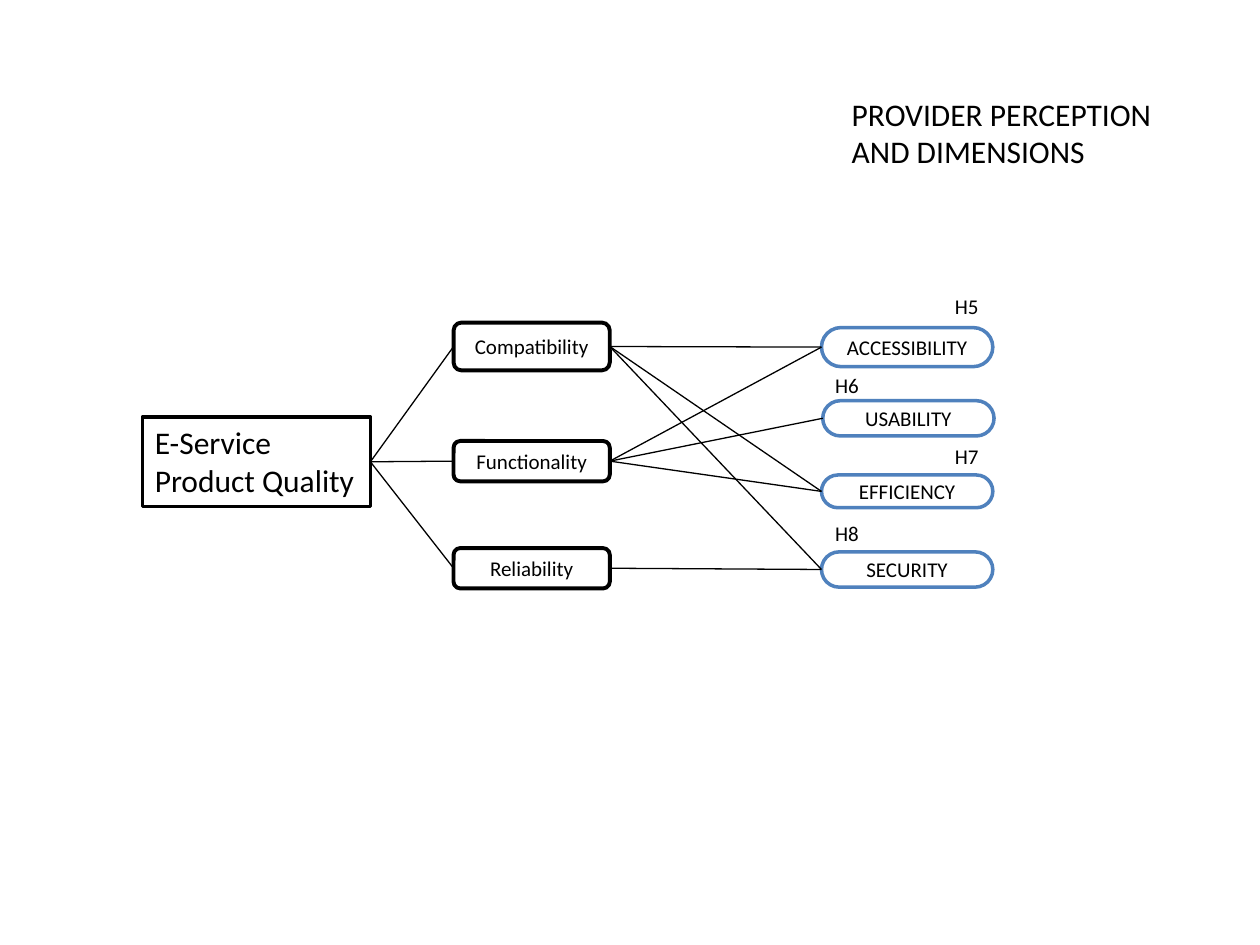
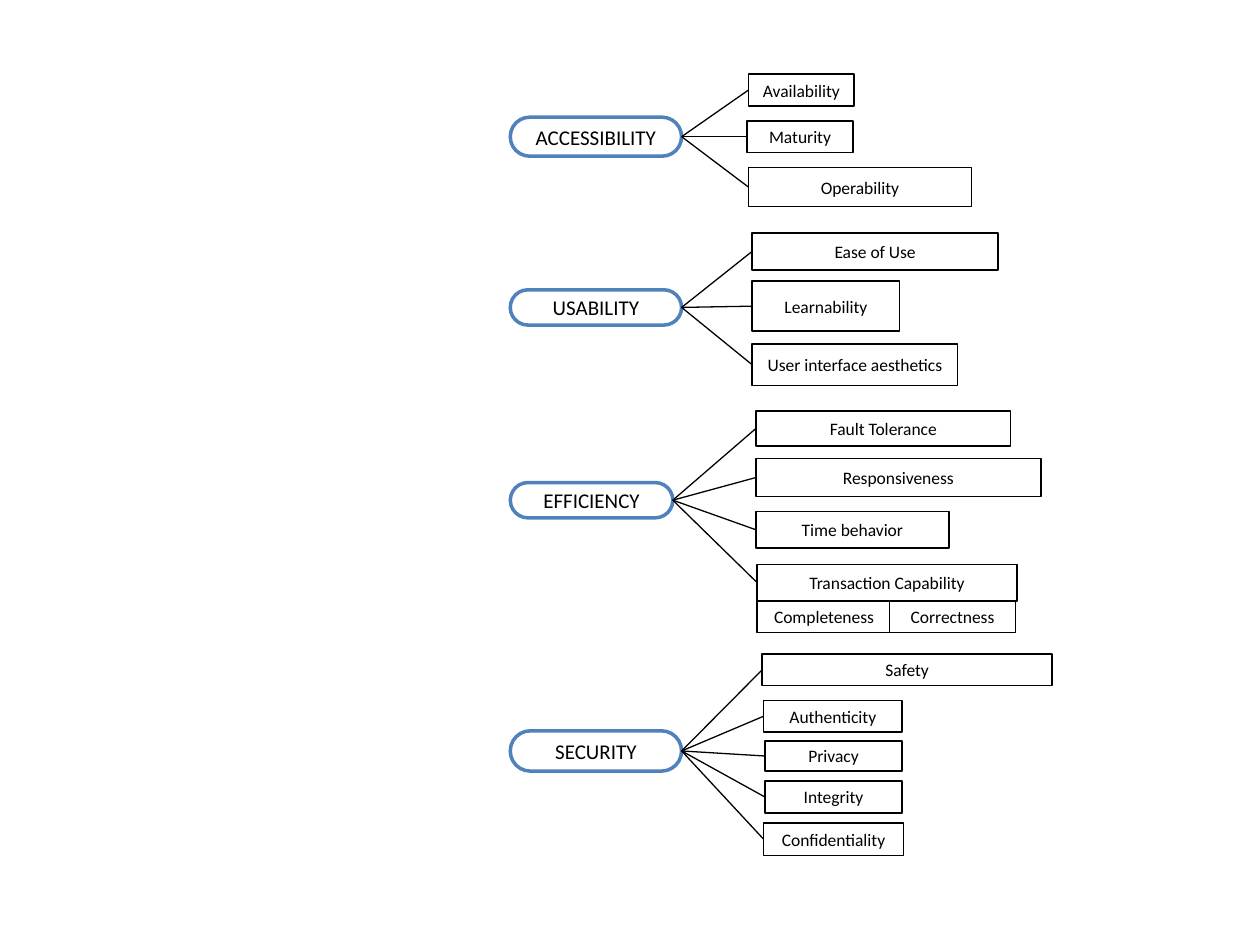
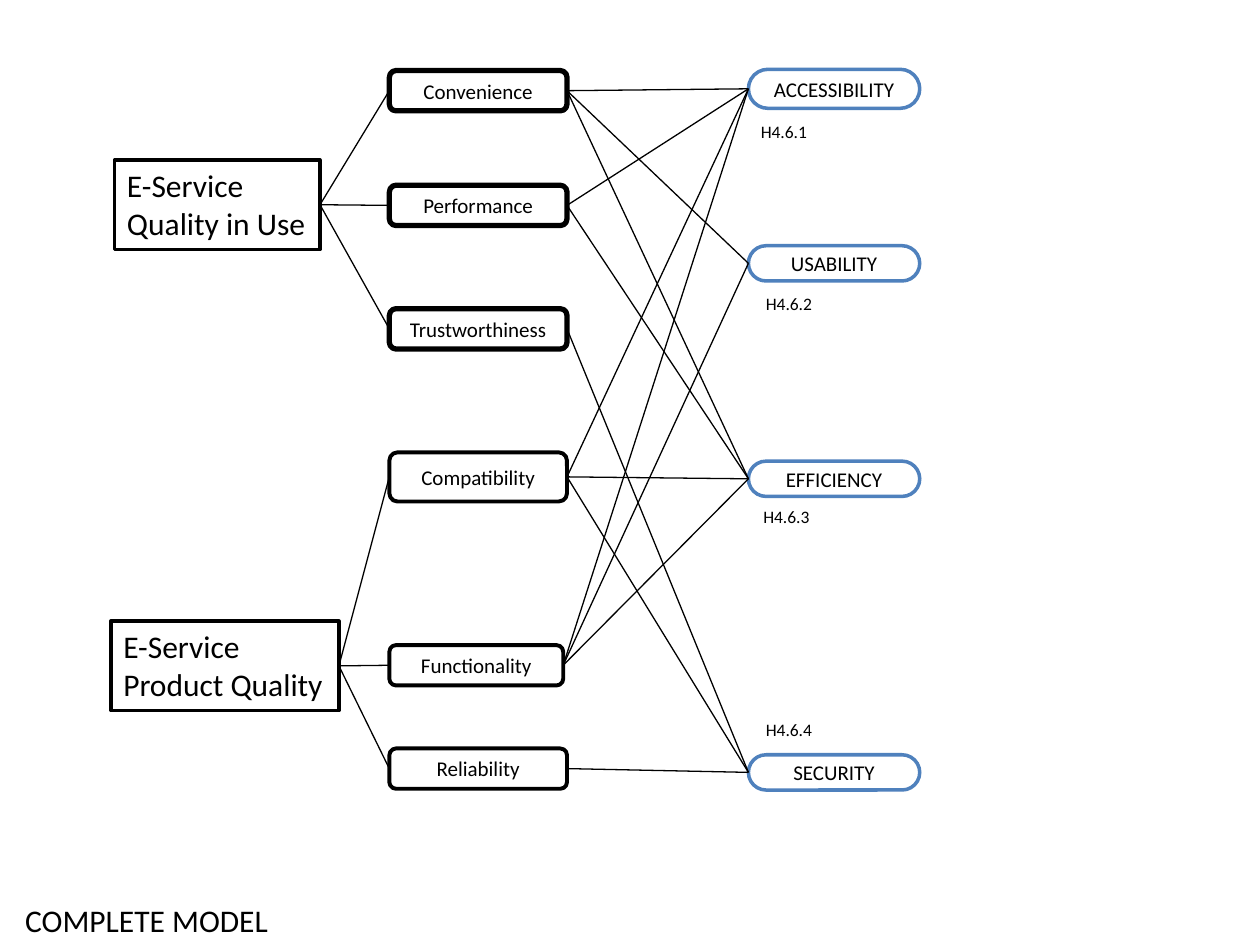
from dataclasses import dataclass

from lxml import etree
from pptx import Presentation
from pptx.dml.color import RGBColor
from pptx.enum.shapes import MSO_CONNECTOR, MSO_SHAPE
from pptx.enum.text import MSO_ANCHOR, MSO_AUTO_SIZE, PP_ALIGN
from pptx.oxml.ns import qn
from pptx.util import Inches, Pt

STRAIGHT = MSO_CONNECTOR.STRAIGHT
RECTANGLE, ROUNDED = MSO_SHAPE.RECTANGLE, MSO_SHAPE.ROUNDED_RECTANGLE
TOP, MIDDLE = MSO_ANCHOR.TOP, MSO_ANCHOR.MIDDLE
LEFT, CENTER = PP_ALIGN.LEFT, PP_ALIGN.CENTER
NO_AUTOFIT = MSO_AUTO_SIZE.NONE
LEFT_SITE, RIGHT_SITE = 1, 3
TITLE_ONLY, BLANK = 5, 6


@dataclass(frozen=True)
class Theme:
    font: str = "Calibri"
    ink: RGBColor = RGBColor(0x00, 0x00, 0x00)
    paper: RGBColor = RGBColor(0xFF, 0xFF, 0xFF)
    accent: RGBColor = RGBColor(0x4F, 0x81, 0xBD)
    heading: int = 18
    body: int = 12
    small: int = 10
    link_width: float = 0.75


theme = Theme()

# Box styles: shape, corner, line colour, line width, text size
STYLES = {
    "quality": (RECTANGLE, None, theme.ink, 2, theme.heading),
    "use factor": (ROUNDED, 0.167, theme.ink, 3, theme.body),
    "product factor": (ROUNDED, 0.167, theme.ink, 2.25, theme.body),
    "dimension": (ROUNDED, 0.5, theme.accent, 2, theme.body),
    "attribute": (ROUNDED, 0, theme.ink, 1, theme.small),
}


def write_text(box, text, size, align=LEFT, anchor=TOP, wrap=False):
    frame = box.text_frame
    frame.text = text
    frame.word_wrap = wrap
    frame.auto_size = NO_AUTOFIT
    frame.vertical_anchor = anchor
    for para in frame.paragraphs:
        para.alignment = align
        para.font.name = theme.font
        para.font.size = Pt(size)
        para.font.color.rgb = theme.ink


def add_link(slide, start, end):
    link = slide.shapes.add_connector(STRAIGHT, 0, 0, 0, 0)
    link.begin_connect(start, RIGHT_SITE)
    link.end_connect(end, LEFT_SITE)
    link.line.color.rgb = theme.ink
    link.line.width = Pt(theme.link_width)
    etree.SubElement(link._element.spPr, qn("a:effectLst"))


# Each page: title with its place, boxes by style, links from left to right, labels
PAGES = [
    {
        "title": ("PROVIDER PERCEPTION\nAND DIMENSIONS", 6.66, 0.7, 2.61, 0.71),
        "boxes": {
            "dimension": [
                ("ACCESSIBILITY", 6.52, 2.6, 1.36, 0.31),
                ("USABILITY", 6.53, 3.18, 1.36, 0.28),
                ("EFFICIENCY", 6.52, 3.77, 1.36, 0.26),
                ("SECURITY", 6.52, 4.38, 1.36, 0.28),
            ],
            "product factor": [
                ("Compatibility", 3.6, 2.56, 1.24, 0.38),
                ("Functionality", 3.6, 3.5, 1.24, 0.32),
                ("Reliability", 3.6, 4.35, 1.24, 0.32),
            ],
            "quality": [("E-Service\nProduct Quality", 1.13, 3.31, 1.81, 0.71)],
        },
        "links": {
            "E-Service\nProduct Quality": ["Compatibility", "Functionality", "Reliability"],
            "Compatibility": ["ACCESSIBILITY", "EFFICIENCY", "SECURITY"],
            "Functionality": ["ACCESSIBILITY", "USABILITY", "EFFICIENCY"],
            "Reliability": ["SECURITY"],
        },
        "label size": theme.body,
        "labels": [
            ("H5", 7.48, 2.28, 0.39, 0.3),
            ("H6", 6.53, 2.91, 0.39, 0.3),
            ("H7", 7.48, 3.47, 0.39, 0.3),
            ("H8", 6.53, 4.08, 0.39, 0.3),
        ],
    },
    {
        "title": None,
        "boxes": {
            "dimension": [
                ("ACCESSIBILITY", 4.05, 0.93, 1.36, 0.31),
                ("USABILITY", 4.05, 2.3, 1.36, 0.28),
                ("EFFICIENCY", 4.05, 3.83, 1.29, 0.28),
                ("SECURITY", 4.05, 5.8, 1.36, 0.32),
            ],
            "attribute": [
                ("Availability", 5.94, 0.59, 0.84, 0.25),
                ("Maturity", 5.93, 0.96, 0.84, 0.25),
                ("Operability", 5.94, 1.33, 1.77, 0.31),
                ("Ease of Use", 5.97, 1.85, 1.95, 0.29),
                ("Learnability", 5.97, 2.23, 1.17, 0.4),
                ("User interface aesthetics", 5.97, 2.73, 1.63, 0.33),
                ("Fault Tolerance", 6, 3.26, 2.02, 0.28),
                ("Responsiveness", 6, 3.64, 2.26, 0.3),
                ("Time behavior", 6, 4.06, 1.53, 0.29),
                ("Transaction Capability", 6.01, 4.48, 2.06, 0.29),
                ("Completeness", 6.01, 4.77, 1.06, 0.25),
                ("Correctness", 7.06, 4.77, 1, 0.25),
                ("Safety", 6.05, 5.19, 2.3, 0.25),
                ("Authenticity", 6.06, 5.56, 1.1, 0.25),
                ("Privacy", 6.07, 5.88, 1.09, 0.24),
                ("Integrity", 6.07, 6.2, 1.09, 0.25),
                ("Confidentiality", 6.06, 6.53, 1.11, 0.26),
            ],
        },
        "links": {
            "ACCESSIBILITY": ["Availability", "Maturity", "Operability"],
            "USABILITY": ["Ease of Use", "Learnability", "User interface aesthetics"],
            "EFFICIENCY": ["Fault Tolerance", "Responsiveness", "Time behavior",
                           "Transaction Capability"],
            "SECURITY": ["Safety", "Authenticity", "Privacy", "Integrity", "Confidentiality"],
        },
        "label size": theme.small,
        "labels": [],
    },
    {
        "title": ("COMPLETE MODEL", 0.1, 7.1, 2.15, 0.4),
        "boxes": {
            "dimension": [
                ("ACCESSIBILITY", 5.94, 0.55, 1.36, 0.31),
                ("USABILITY", 5.94, 1.95, 1.36, 0.28),
                ("EFFICIENCY", 5.94, 3.66, 1.36, 0.28),
                ("SECURITY", 5.94, 5.99, 1.36, 0.28),
            ],
            "use factor": [
                ("Convenience", 3.09, 0.56, 1.41, 0.32),
                ("Performance", 3.09, 1.47, 1.41, 0.32),
                ("Trustworthiness", 3.09, 2.45, 1.41, 0.32),
            ],
            "product factor": [
                ("Compatibility", 3.09, 3.59, 1.41, 0.39),
                ("Functionality", 3.09, 5.12, 1.38, 0.32),
                ("Reliability", 3.09, 5.94, 1.41, 0.32),
            ],
            "quality": [
                ("E-Service\nQuality in Use", 0.91, 1.27, 1.63, 0.71),
                ("E-Service\nProduct Quality", 0.88, 4.93, 1.81, 0.71),
            ],
        },
        "links": {
            "E-Service\nQuality in Use": ["Convenience", "Performance", "Trustworthiness"],
            "E-Service\nProduct Quality": ["Compatibility", "Functionality", "Reliability"],
            "Convenience": ["ACCESSIBILITY", "USABILITY", "EFFICIENCY"],
            "Performance": ["ACCESSIBILITY", "EFFICIENCY"],
            "Trustworthiness": ["SECURITY"],
            "Compatibility": ["ACCESSIBILITY", "EFFICIENCY", "SECURITY"],
            "Functionality": ["ACCESSIBILITY", "USABILITY", "EFFICIENCY"],
            "Reliability": ["SECURITY"],
        },
        "label size": theme.small,
        "labels": [
            ("H4.6.1", 5.94, 0.91, 0.57, 0.27),
            ("H4.6.2", 5.98, 2.28, 0.57, 0.27),
            ("H4.6.3", 5.96, 3.97, 0.57, 0.27),
            ("H4.6.4", 5.98, 5.66, 0.57, 0.27),
        ],
    },
]

deck = Presentation()
deck.slide_width, deck.slide_height = Inches(10), Inches(7.5)

for page in PAGES:
    slide = deck.slides.add_slide(deck.slide_layouts[TITLE_ONLY if page["title"] else BLANK])

    # Title
    if page["title"]:
        text, *place = page["title"]
        title = slide.shapes.title
        title.left, title.top, title.width, title.height = map(Inches, place)
        write_text(title, text, theme.heading)

    # Boxes
    boxes = {}
    for style, entries in page["boxes"].items():
        kind, corner, line_color, line_width, size = STYLES[style]
        for text, *place in entries:
            box = slide.shapes.add_shape(kind, *map(Inches, place))
            box.shadow.inherit = False
            box.fill.solid()
            box.fill.fore_color.rgb = theme.paper
            box.line.color.rgb = line_color
            box.line.width = Pt(line_width)
            if corner is not None:
                box.adjustments[0] = corner
            if style == "quality":
                write_text(box, text, size)
            else:
                write_text(box, text, size, CENTER, MIDDLE, True)
            boxes[text] = box

    # Links
    for start, ends in page["links"].items():
        for end in ends:
            add_link(slide, boxes[start], boxes[end])

    # Hypothesis labels
    for text, *place in page["labels"]:
        label = slide.shapes.add_textbox(*map(Inches, place))
        write_text(label, text, page["label size"])

deck.save("out.pptx")
